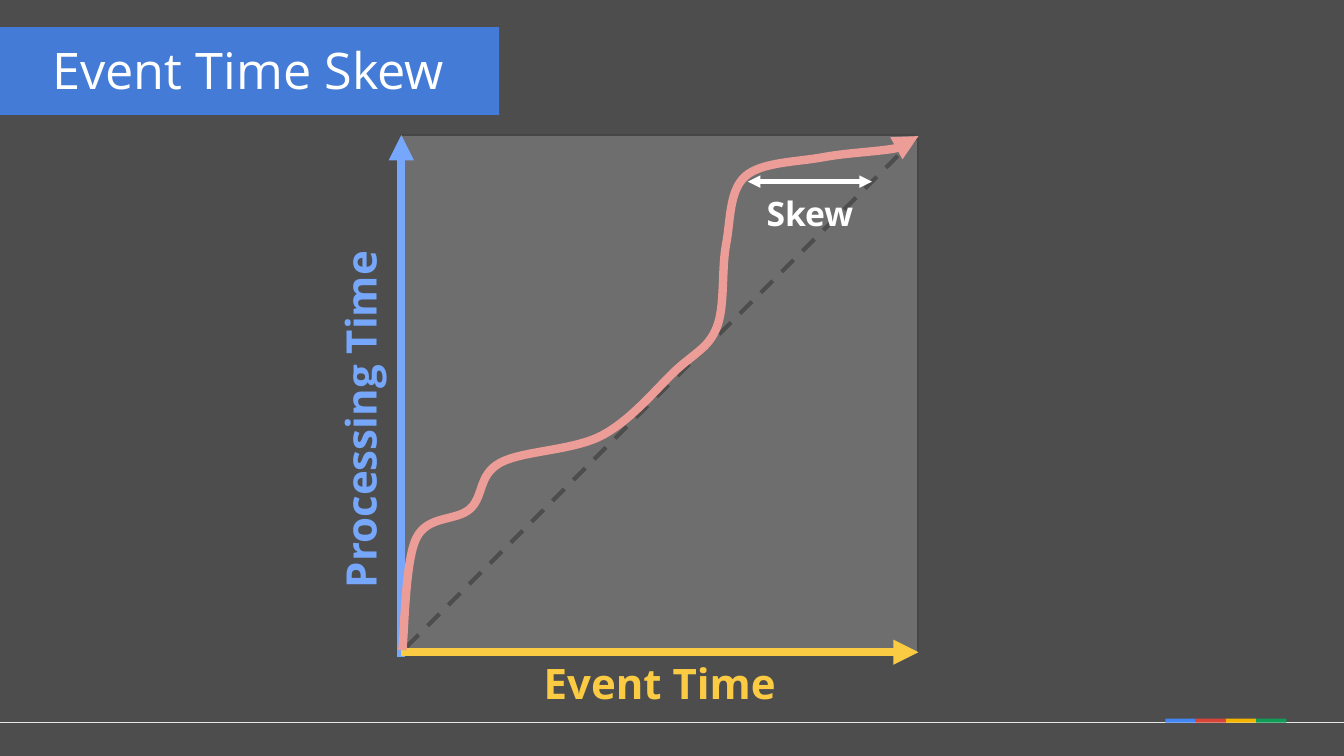
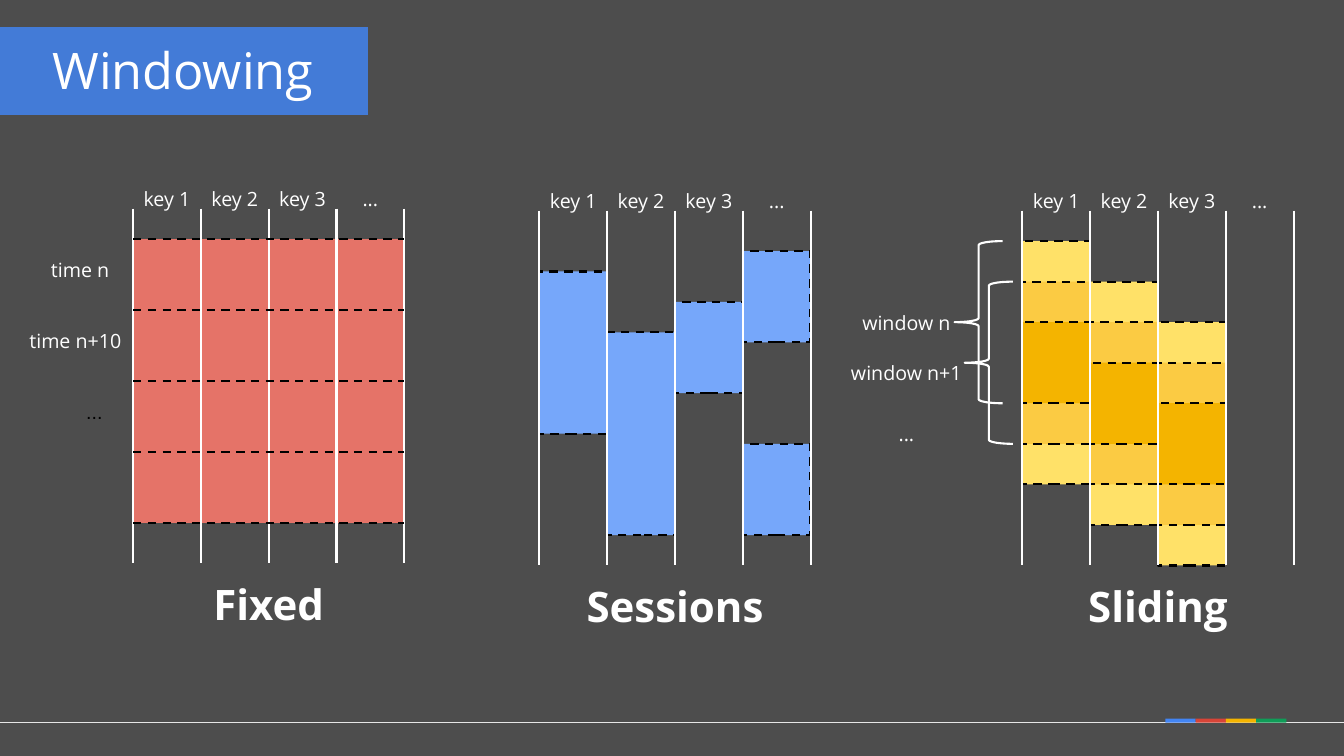
from dataclasses import dataclass

from lxml.etree import SubElement
from pptx import Presentation
from pptx.dml.color import RGBColor
from pptx.enum.dml import MSO_LINE
from pptx.enum.shapes import MSO_CONNECTOR, MSO_SHAPE
from pptx.enum.text import MSO_ANCHOR, PP_ALIGN
from pptx.oxml.ns import qn
from pptx.util import Inches, Pt

W, H = 13.33, 7.5
FONT = "Open Sans"
COLORS = {
    "background": "4D4D4D", "rule": "E6E6E6", "white": "FFFFFF", "black": "000000",
    "blue": "4285F4", "red": "D84437", "amber": "F4B400", "green": "0F9D58",
    "plot": "6E6E6E", "plot_edge": "464646", "sky": "76A7FA", "yellow": "FBCB43",
    "pale": "FFE168", "coral": "E57368", "salmon": "ED9D97",
}
# Knots of the skew curve, in percent of the plot from its top left corner
SKEW_KNOTS = [
    (0.2, 99.6), (2.9, 78), (13.3, 72.3), (19.1, 63.4), (38.8, 58.1), (53, 45.6),
    (61, 37.2), (62.8, 21.2), (66.5, 8), (81.5, 4.3), (95.9, 2.5), (100, 0.2),
]


def rgb(name):
    return RGBColor.from_string(COLORS[name])


def set_line(shape, color, width, dash=False, head=False, tail=False):
    shape.line.color.rgb = rgb(color)
    shape.line.width = Pt(width)
    if dash:
        shape.line.dash_style = MSO_LINE.DASH
    ln = shape._element.spPr.find(qn("a:ln"))
    for tag, wanted in (("a:headEnd", head), ("a:tailEnd", tail)):
        if wanted:
            SubElement(ln, qn(tag), type="triangle")


def add_line(s, x1, y1, x2, y2, color, width, **style):
    line = s.shapes.add_connector(MSO_CONNECTOR.STRAIGHT, *map(Inches, (x1, y1, x2, y2)))
    set_line(line, color, width, **style)
    SubElement(line._element.spPr, qn("a:effectLst"))


def add_box(s, x, y, w, h, fill=None, kind=MSO_SHAPE.RECTANGLE, line=None, **style):
    """Add a preset shape; line is a (colour, width) pair."""
    sp = s.shapes.add_shape(kind, *map(Inches, (x, y, w, h)))
    sp.shadow.inherit = False
    if fill:
        sp.fill.solid()
        sp.fill.fore_color.rgb = rgb(fill)
    else:
        sp.fill.background()
    if line:
        set_line(sp, *line, **style)
    else:
        sp.line.fill.background()
    return sp


def write(sp, text, size, color="white", bold=False, font=FONT, align=PP_ALIGN.CENTER):
    tf = sp.text_frame
    tf.word_wrap = True
    tf.vertical_anchor = MSO_ANCHOR.MIDDLE
    p = tf.paragraphs[0]
    p.text = text
    p.alignment = align
    p.font.name, p.font.size, p.font.bold = font, Pt(size), bold
    p.font.color.rgb = rgb(color)
    return tf


def add_label(s, cx, cy, w, h, text, size, rotation=0, **style):
    """Add a text box centred on (cx, cy)."""
    sp = s.shapes.add_textbox(*map(Inches, (cx - w / 2, cy - h / 2, w, h)))
    sp.rotation = rotation
    write(sp, text, size, **style)


def add_footer(s):
    y, w = 7.13, 0.3
    add_line(s, W, 7.17, 0, 7.17, "rule", 0.75)
    for i, color in enumerate(("blue", "red", "amber", "green")):
        add_box(s, 11.56 + i * w, y, w, 0.04, color)


def add_title(s, text, width):
    band = add_box(s, 0, 0.27, width, 0.87, "blue")
    SubElement(next(band._element.spPr.iter(qn("a:srgbClr"))), qn("a:alpha"), val="83000")
    tf = write(band, text, 36, align=PP_ALIGN.LEFT)
    tf.margin_left, tf.margin_bottom = Inches(0.52), Inches(0.08)


def new_slide(prs, title, band_width):
    s = prs.slides.add_slide(prs.slide_layouts[6])
    add_footer(s)
    add_title(s, title, band_width)
    return s


def add_curve(s, knots, color, width):
    """Draw a Catmull-Rom spline through the knots as Bézier segments."""
    pts = [(Inches(x), Inches(y)) for x, y in knots]
    builder = s.shapes.build_freeform(*pts[0], scale=1.0)
    builder.add_line_segments(pts[1:], close=False)
    sp = builder.convert_to_shape()
    sp.shadow.inherit = False
    sp.fill.background()
    set_line(sp, color, width, tail=True)

    ends = [pts[0], *pts, pts[-1]]
    segments = list(sp._element.spPr.iter(qn("a:lnTo")))
    for segment, a, b, c, d in zip(segments, ends, ends[1:], ends[2:], ends[3:]):
        out = [q + (r - p) / 6 for p, q, r in zip(a, b, c)]
        into = [q - (r - p) / 6 for p, q, r in zip(b, c, d)]
        bezier = segment.makeelement(qn("a:cubicBezTo"))
        for x, y in (out, into, c):
            SubElement(bezier, qn("a:pt"), x=str(round(x - sp.left)), y=str(round(y - sp.top)))
        segment.getparent().replace(segment, bezier)


def add_skew_plot(s, left, top, side):
    def at(x, y):
        return left + x * side, top + y * side

    add_box(s, left, top, side, side, "plot", line=("plot_edge", 1.5))
    add_line(s, *at(0, 1.01), *at(0, 0), "sky", 6, tail=True)
    add_line(s, *at(0, 1), *at(1, 1), "yellow", 6, tail=True)
    add_line(s, *at(1, 0), *at(0, 1), "background", 3, dash=True)
    add_curve(s, [at(x / 100, y / 100) for x, y in SKEW_KNOTS], "salmon", 6)
    add_label(s, *at(-0.08, 0.55), 4.41, 0.47, "Processing Time", 30, rotation=270,
              color="sky", bold=True)
    add_label(s, *at(0.5, 1.06), 3.1, 0.47, "Event Time", 30, color="yellow", bold=True)
    add_line(s, *at(0.67, 0.09), *at(0.91, 0.09), "white", 3, head=True, tail=True)
    add_label(s, *at(0.79, 0.15), 1.36, 0.43, "Skew", 24, bold=True)


@dataclass
class KeyGrid:
    """Four key columns and 35 time rows, with its top left corner at (left, top)."""
    s: object
    left: float
    top: float
    width: float = 2.69
    height: float = 3.52
    cols: int = 4
    rows: int = 35

    def at(self, col, row):
        return (self.left + col * self.width / self.cols,
                self.top + row * self.height / self.rows)

    def size(self, cols, rows):
        return cols * self.width / self.cols, rows * self.height / self.rows

    def block(self, col, row, rows, fill):
        add_box(self.s, *self.at(col, row), *self.size(1, rows), fill,
                line=("black", 1.5), dash=True)

    def label(self, col, row, text, size=14, cols=2, **style):
        """Centre a label six rows high on a column position."""
        add_label(self.s, *self.at(col, row + 3), *self.size(cols, 6), text, size, **style)

    def frame(self, name):
        for col in range(self.cols + 1):
            add_line(self.s, *self.at(col, 0), *self.at(col, self.rows), "white", 1.5)
        for col, key in enumerate(("key 1", "key 2", "key 3", "...")):
            self.label(col + 0.5, -4, key)
        self.label(self.cols / 2, self.rows + 1, name, 30, cols=self.cols + 1, bold=True)


def add_fixed(s, left, top):
    grid = KeyGrid(s, left, top)
    first, step, count = 3, 7, 4
    add_box(s, *grid.at(0, first), *grid.size(grid.cols, step * count), "coral")
    grid.frame("Fixed")
    for i in range(count + 1):
        row = first + i * step
        add_line(s, *grid.at(0, row), *grid.at(grid.cols, row), "black", 1.5, dash=True)
    grid.label(-0.78, first, "time n")
    grid.label(-0.85, first + step, "time n+10")
    grid.label(-0.57, first + 2 * step, "...", font="Arial", color="black")


def add_sessions(s, left, top):
    grid = KeyGrid(s, left, top)
    for col, row, rows in ((0, 6, 16), (3, 4, 9), (1, 12, 20), (2, 9, 9), (3, 23, 9)):
        grid.block(col, row, rows, "sky")
    grid.frame("Sessions")


def add_sliding(s, left, top):
    grid = KeyGrid(s, left, top)
    first, step = 3, 4
    for col in range(3):
        for i, fill in enumerate(("pale", "yellow", "amber")):
            grid.block(col, first + (col + i) * step, (6 - 2 * i) * step, fill)
    grid.frame("Sliding")
    for row, text in ((8, "window n"), (13, "window n+1"), (19, "...")):
        grid.label(-1.71, row, text, cols=2.2)
    for i in range(2):
        add_box(s, *grid.at(0.15 * i - 1, first + i * step), *grid.size(0.71, 4 * step),
                kind=MSO_SHAPE.LEFT_BRACE, line=("white", 1.5))


def main():
    prs = Presentation()
    prs.slide_width, prs.slide_height = Inches(W), Inches(H)
    background = prs.slide_master.background.fill
    background.solid()
    background.fore_color.rgb = rgb("background")

    add_skew_plot(new_slide(prs, "Event Time Skew", 4.95), 3.98, 1.34, 5.13)

    s = new_slide(prs, "Windowing", 3.65)
    add_fixed(s, 1.32, 2.07)
    add_sessions(s, 5.35, 2.09)
    add_sliding(s, 10.14, 2.09)

    prs.save("out.pptx")


if __name__ == "__main__":
    main()
